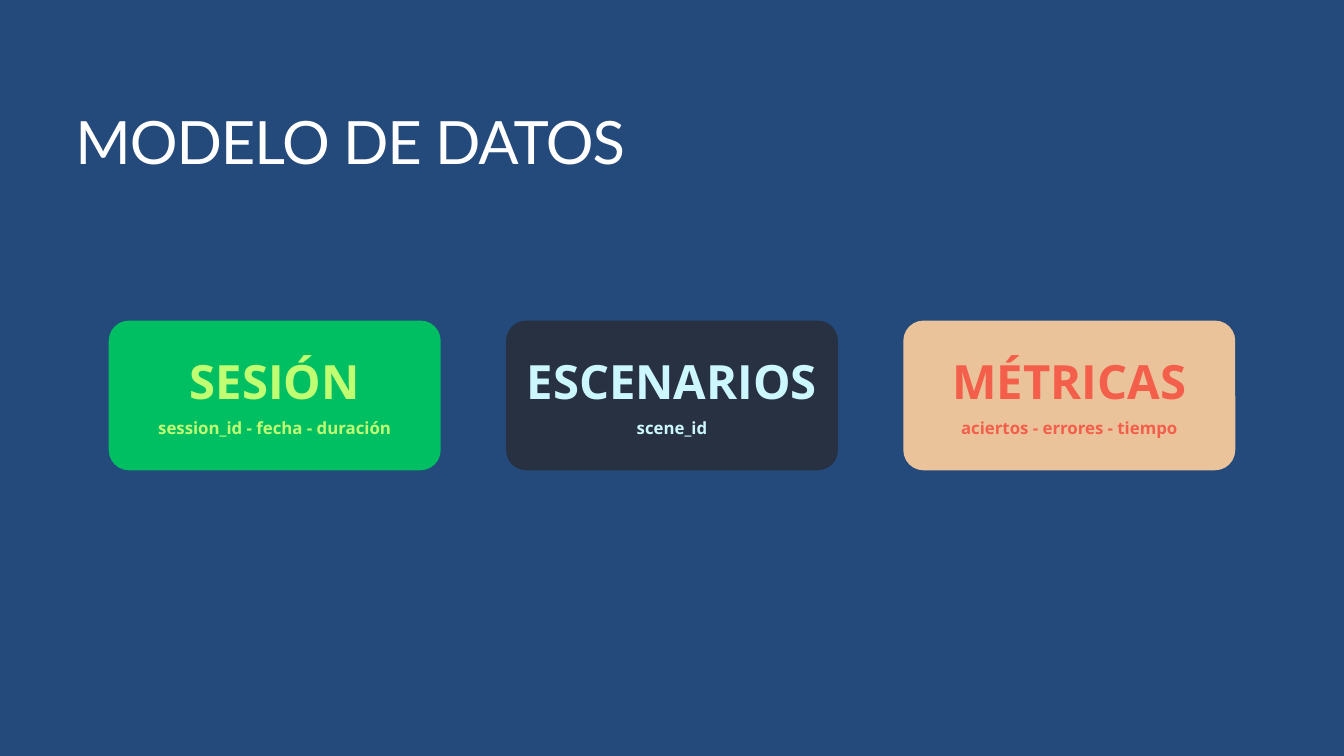
import dataclasses

import pptx
import pptx.dml.color
import pptx.enum.shapes
import pptx.enum.text
import pptx.util

Cm = pptx.util.Cm
Pt = pptx.util.Pt
RGB = pptx.dml.color.RGBColor.from_string
ALIGN = pptx.enum.text.PP_ALIGN


@dataclasses.dataclass(frozen=True)
class Theme:
    """Colours, fonts and type sizes of the slide."""
    background: str = "24497B"
    title_color: str = "FFFFFF"
    title_font: str = "Lato"
    card_font: str = "Open Sans"
    title_size: float = 64
    title_tracking: int = -110
    name_size: float = 50.6
    fields_size: float = 18
    line_ratio: float = 1.4


THEME = Theme()

ENTITIES = [
    ("SESIÓN", "session_id - fecha - duración", "00BF63", "C1FF72"),
    ("ESCENARIOS", "scene_id", "273141", "CCF7FF"),
    ("MÉTRICAS", "aciertos - errores - tiempo", "EAC39A", "F45F4B"),
]


def add_text(slide, box, text, font, size, color, leading, bold=False, align=ALIGN.LEFT):
    """Add one line of text without margins and return its run."""
    tf = slide.shapes.add_textbox(*(Cm(v) for v in box)).text_frame
    tf.word_wrap = True
    tf.margin_left = tf.margin_right = tf.margin_top = tf.margin_bottom = 0
    p = tf.paragraphs[0]
    p.alignment = align
    p.line_spacing = Pt(leading)
    p.font.name = font
    p.font.size = Pt(size)
    p.font.bold = bold
    p.font.color.rgb = RGB(color)
    r = p.add_run()
    r.text = text
    return r


def add_title(slide, box, text):
    """Add the slide title with tightened letter spacing."""
    r = add_text(slide, box, text, THEME.title_font, THEME.title_size,
                 THEME.title_color, THEME.title_size)
    r.font._element.set("spc", str(THEME.title_tracking))


def add_card(slide, box, name, fields, fill, color):
    """Add a rounded card with an entity name above its fields."""
    left, top, width, height = box
    sp = slide.shapes.add_shape(pptx.enum.shapes.MSO_SHAPE.ROUNDED_RECTANGLE,
                                *(Cm(v) for v in box))
    sp.adjustments[0] = 0.135
    sp.shadow.inherit = False
    sp.fill.solid()
    sp.fill.fore_color.rgb = RGB(fill)
    sp.line.fill.background()
    lines = [
        (name, THEME.name_size, 0.77, 0.86, 2.36),
        (fields, THEME.fields_size, 0, 3.56, 0.84),
    ]
    for text, size, inset, offset, line_height in lines:
        line_box = (left + inset, top + offset, width - 2 * inset, line_height)
        add_text(slide, line_box, text, THEME.card_font, size, color,
                 size * THEME.line_ratio, bold=True, align=ALIGN.CENTER)


def add_cards(slide, box, entities, gap):
    """Spread equal cards across the box."""
    left, top, width, height = box
    card_width = (width - gap * (len(entities) - 1)) / len(entities)
    for i, entity in enumerate(entities):
        card_box = (left + i * (card_width + gap), top, card_width, height)
        add_card(slide, card_box, *entity)


def main():
    """Build and save the data model slide."""
    prs = pptx.Presentation()
    prs.slide_width, prs.slide_height = Cm(50.8), Cm(28.58)
    slide = prs.slides.add_slide(prs.slide_layouts[6])
    slide.background.fill.solid()
    slide.background.fill.fore_color.rgb = RGB(THEME.background)
    add_title(slide, (2.85, 4.42, 26.7, 2.36), "MODELO DE DATOS")
    add_cards(slide, (4.11, 12.12, 42.58, 5.66), ENTITIES, gap=2.47)
    prs.save("out.pptx")


if __name__ == "__main__":
    main()
